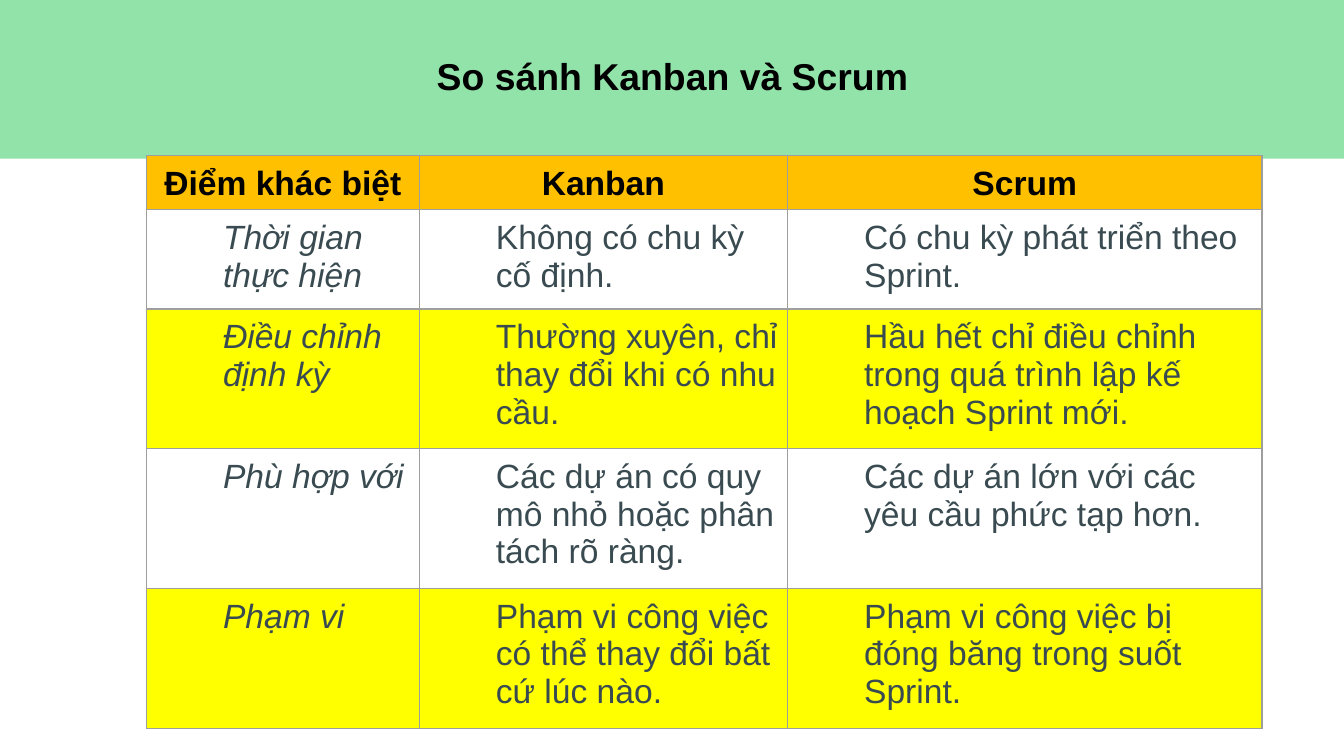
from lxml import etree
from pptx import Presentation
from pptx.dml.color import RGBColor
from pptx.enum.shapes import MSO_SHAPE
from pptx.enum.text import MSO_ANCHOR, PP_ALIGN
from pptx.oxml.ns import qn
from pptx.util import Inches, Pt

RECTANGLE = MSO_SHAPE.RECTANGLE
CENTER, LEFT = PP_ALIGN.CENTER, PP_ALIGN.LEFT
TOP, MIDDLE, BOTTOM = MSO_ANCHOR.TOP, MSO_ANCHOR.MIDDLE, MSO_ANCHOR.BOTTOM

GREEN = RGBColor(0x92, 0xE3, 0xA9)
AMBER = RGBColor(0xFF, 0xC0, 0x00)
YELLOW = RGBColor(0xFF, 0xFF, 0x00)
BLACK = RGBColor(0x00, 0x00, 0x00)
SLATE = RGBColor(0x39, 0x4B, 0x51)
GREY = RGBColor(0x9E, 0x9E, 0x9E)

FONT = "Arial"
SLIDE_WIDTH = 10
SLIDE_HEIGHT = SLIDE_WIDTH * 9 / 16
HEADER_BOX = (0, 0, SLIDE_WIDTH, 1.18)
TABLE_BOX = (1.09, 1.16, 8.3, 4.26)
COLUMN_WEIGHTS = (2.03, 2.74, 3.53)
ROW_WEIGHTS = (0.4, 0.74, 1.04, 1.04, 1.04)

TITLE = "So sánh Kanban và Scrum"
COMPARISON = (
    ("Điểm khác biệt", "Kanban", "Scrum"),
    ("Thời gian thực hiện", "Không có chu kỳ cố định.",
     "Có chu kỳ phát triển theo Sprint."),
    ("Điều chỉnh định kỳ", "Thường xuyên, chỉ thay đổi khi có nhu cầu.",
     "Hầu hết chỉ điều chỉnh trong quá trình lập kế hoạch Sprint mới."),
    ("Phù hợp với", "Các dự án có quy mô nhỏ hoặc phân tách rõ ràng.",
     "Các dự án lớn với các yêu cầu phức tạp hơn."),
    ("Phạm vi", "Phạm vi công việc có thể thay đổi bất cứ lúc nào.",
     "Phạm vi công việc bị đóng băng trong suốt Sprint."),
)


def style_text(paragraph, size, color, alignment, bold=False, italic=False):
    paragraph.alignment = alignment
    for run in paragraph.runs:
        font = run.font
        font.name, font.size = FONT, Pt(size)
        font.bold, font.italic = bold, italic
        font.color.rgb = color


def add_borders(cell):
    """Draw a thin grey line on all four sides; lines precede the fill."""
    properties = cell._tc.get_or_add_tcPr()
    for index, side in enumerate(("a:lnL", "a:lnR", "a:lnT", "a:lnB")):
        line = etree.Element(qn(side), w=str(Pt(0.75)))
        fill = etree.SubElement(line, qn("a:solidFill"))
        etree.SubElement(fill, qn("a:srgbClr"), val=str(GREY))
        properties.insert(index, line)


def add_header(slide, box):
    """Green band with the slide title centred on it."""
    left, top, width, height = box
    band = slide.shapes.add_shape(RECTANGLE, *map(Inches, box))
    band.shadow.inherit = False
    band.fill.solid()
    band.fill.fore_color.rgb = GREEN
    band.line.fill.background()

    title = slide.shapes.title
    title.element.addprevious(band.element)
    title.left, title.top = Inches(left + 0.062 * width), Inches(top + 0.29 * height)
    title.width, title.height = Inches(0.877 * width), Inches(0.37 * height)
    frame = title.text_frame
    frame.text = TITLE
    frame.word_wrap = True
    frame.vertical_anchor = MIDDLE
    style_text(frame.paragraphs[0], 20, BLACK, CENTER, bold=True)


def format_heading(cell):
    cell.vertical_anchor = BOTTOM
    style_text(cell.text_frame.paragraphs[0], 18, BLACK, CENTER, bold=True)


def format_body(cell, italic):
    cell.vertical_anchor = TOP
    cell.margin_left = cell.margin_right = Inches(0.07)
    cell.margin_top = cell.margin_bottom = Inches(0.07)
    paragraph = cell.text_frame.paragraphs[0]
    indent = paragraph._p.get_or_add_pPr()
    indent.set("marL", str(Inches(0.5)))
    indent.set("indent", "0")
    paragraph.space_after = Pt(7)
    style_text(paragraph, 18, SLATE, LEFT, italic=italic)


def add_comparison_table(slide, box):
    """Heading row, then body rows with every second one highlighted."""
    width, height = box[2:]
    frame = slide.shapes.add_table(
        len(COMPARISON), len(COLUMN_WEIGHTS), *map(Inches, box))
    table = frame.table
    for column, weight in zip(table.columns, COLUMN_WEIGHTS):
        column.width = Inches(width * weight / sum(COLUMN_WEIGHTS))
    for row, weight in zip(table.rows, ROW_WEIGHTS):
        row.height = Inches(height * weight / sum(ROW_WEIGHTS))

    for row_index, texts in enumerate(COMPARISON):
        for column_index, text in enumerate(texts):
            cell = table.cell(row_index, column_index)
            cell.text_frame.text = text
            if row_index == 0:
                format_heading(cell)
            else:
                format_body(cell, italic=column_index == 0)
            if row_index % 2:
                cell.fill.background()
            else:
                cell.fill.solid()
                cell.fill.fore_color.rgb = YELLOW if row_index else AMBER
            add_borders(cell)


def main():
    presentation = Presentation()
    presentation.slide_width = Inches(SLIDE_WIDTH)
    presentation.slide_height = Inches(SLIDE_HEIGHT)
    title_only = presentation.slide_layouts.get_by_name("Title Only")
    slide = presentation.slides.add_slide(title_only)
    add_header(slide, HEADER_BOX)
    add_comparison_table(slide, TABLE_BOX)
    presentation.save("out.pptx")


if __name__ == "__main__":
    main()
